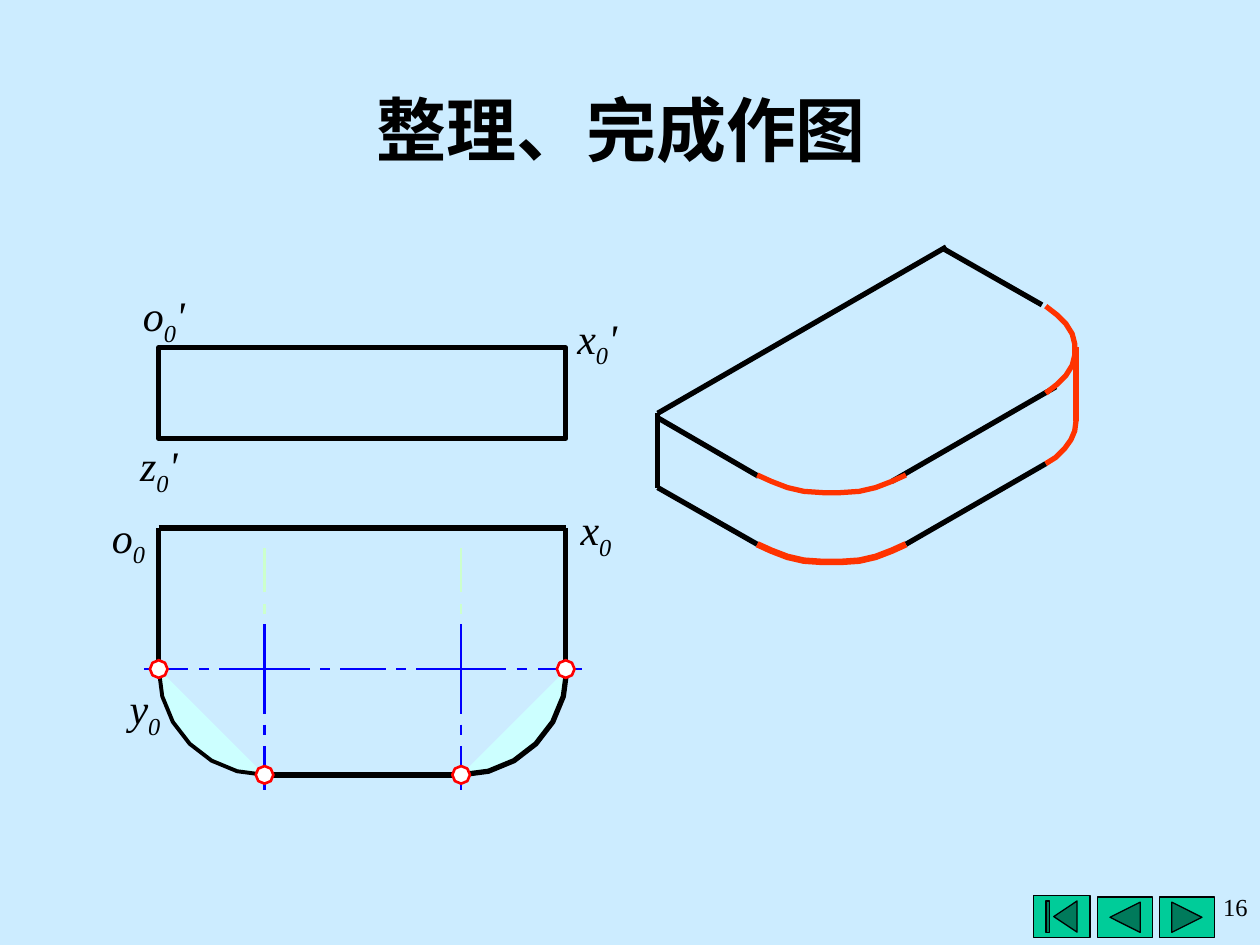
from dataclasses import dataclass
from math import cos, radians, sin

from lxml.etree import SubElement
from pptx import Presentation
from pptx.dml.color import RGBColor
from pptx.enum.shapes import MSO_CONNECTOR, MSO_SHAPE as Preset
from pptx.enum.text import MSO_ANCHOR, MSO_AUTO_SIZE, PP_ALIGN
from pptx.oxml.ns import qn
from pptx.util import Inches, Pt

COLORS = {
    "background": "CCECFF", "ink": "000000", "arc": "FF3300", "axis": "0000FF",
    "faint": "CCFFCC", "corner": "CCFFFF", "node": "FFFFFF", "ring": "FF0000",
    "button": "00CC99",
}
FONT = "Times New Roman"
Point = tuple[float, float]


@dataclass
class Edge:
    start: Point
    end: Point
    color: str = "ink"
    width: float = 3


@dataclass
class Curve:
    points: list[Point]
    color: str = "arc"
    width: float = 3
    fill: str | None = None
    closed: bool = False


@dataclass
class Label:
    letter: str
    left: float
    top: float
    width: float = 0.92
    prime: str = ""


@dataclass
class Button:
    preset: Preset
    left: float
    top: float
    width: float
    height: float


def color(name: str) -> RGBColor:
    return RGBColor.from_string(COLORS[name])


def paint(shape, fill: str | None, line: str, width: float) -> None:
    shape.shadow.inherit = False
    if fill:
        shape.fill.solid()
        shape.fill.fore_color.rgb = color(fill)
    else:
        shape.fill.background()
    shape.line.color.rgb = color(line)
    shape.line.width = Pt(width)


def draw_edge(page, edge: Edge) -> None:
    ends = [Inches(value) for value in (*edge.start, *edge.end)]
    line = page.shapes.add_connector(MSO_CONNECTOR.STRAIGHT, *ends)
    line.line.color.rgb = color(edge.color)
    line.line.width = Pt(edge.width)
    SubElement(line._element.spPr, qn("a:effectLst"))


def draw_curve(page, curve: Curve) -> None:
    points = [(Inches(x), Inches(y)) for x, y in curve.points]
    builder = page.shapes.build_freeform(*points[0])
    builder.add_line_segments(points[1:], close=curve.closed)
    paint(builder.convert_to_shape(), curve.fill, curve.color, curve.width)


def draw_button(page, button: Button) -> None:
    bounds = (button.left, button.top, button.width, button.height)
    shape = page.shapes.add_shape(button.preset, *map(Inches, bounds))
    paint(shape, "button", "ink", 0.75)


def add_text(page, left: float, top: float, width: float, height: float,
             size: float, align: PP_ALIGN):
    box = page.shapes.add_textbox(*map(Inches, (left, top, width, height)))
    box.text_frame.word_wrap = True
    para = box.text_frame.paragraphs[0]
    para.alignment = align
    para.font.name = FONT
    para.font.size = Pt(size)
    para.font.color.rgb = color("ink")
    return para


def draw_label(page, label: Label) -> None:
    para = add_text(page, label.left, label.top, label.width, 0.56, 24, PP_ALIGN.CENTER)
    para.font.italic = True
    para.add_run().text = label.letter
    subscript = para.add_run()
    subscript.text = "0"
    subscript._r.get_or_add_rPr().set("baseline", "-25000")
    if label.prime:
        para.add_run().text = label.prime


def arc(center: Point, radius: float, first: int, last: int, step: int) -> list[Point]:
    x, y = center
    return [(x + radius * cos(radians(angle)), y + radius * sin(radians(angle)))
            for angle in range(first, last + 1, step)]


LEFT, RIGHT, BACK, FRONT = 1.26, 4.49, 4.19, 6.15
AXIS_Y, RADIUS = 5.31, 0.84
CENTERS = [(2.1, AXIS_Y), (3.66, AXIS_Y)]
DASHES = [(0, 0.36), (0.44, 0.52), (0.61, 0.96)]
DIRECTIONS = [(-1, 0), (1, 0), (0, 1), (0, -1)]

FRONT_ARC = [(6.01, 3.77), (6.12, 3.82), (6.25, 3.87), (6.38, 3.9), (6.53, 3.91),
             (6.67, 3.91), (6.82, 3.9), (6.95, 3.87), (7.08, 3.82), (7.19, 3.77)]
SIDE_ARC = [(8.3, 3.12), (8.39, 3.05), (8.46, 2.98), (8.51, 2.9), (8.53, 2.82),
            (8.53, 2.73), (8.51, 2.65), (8.46, 2.57), (8.39, 2.5), (8.3, 2.43)]
LOWER_SIDE_ARC = [(8.3, 3.68), (8.38, 3.63), (8.45, 3.56), (8.5, 3.49),
                  (8.53, 3.42), (8.54, 3.34)]
THICKNESS = 0.55

SOLID_EDGES = [
    Edge((5.22, 3.28), (5.22, 3.87)),
    Edge((7.51, 1.96), (5.22, 3.28)),
    Edge((7.48, 1.97), (8.27, 2.42)),
    Edge((5.22, 3.87), (6.01, 4.32)),
    Edge((8.3, 3.68), (7.19, 4.32)),
    Edge((8.54, 3.34), (8.54, 2.75), "arc"),
    Edge((5.21, 3.31), (6.02, 3.78)),
    Edge((7.08, 3.82), (8.38, 3.07)),
]
SOLID_ARCS = [
    Curve([(x, y + THICKNESS) for x, y in FRONT_ARC], width=3.75),
    Curve(LOWER_SIDE_ARC),
    Curve(FRONT_ARC),
    Curve(SIDE_ARC),
]
PLAN_EDGES = [
    Edge((LEFT, BACK), (LEFT, AXIS_Y)),
    Edge((LEFT, BACK), (RIGHT, BACK)),
    Edge((RIGHT, BACK), (RIGHT, AXIS_Y)),
    Edge((CENTERS[0][0], FRONT), (CENTERS[1][0], FRONT)),
]
CORNERS = [
    Curve(arc(CENTERS[0], RADIUS, 90, 180, 15), "ink", 2.25, "corner"),
    Curve(arc(CENTERS[1], RADIUS, 0, 90, 15), "ink", 3, "corner"),
]
NODES = [(LEFT, AXIS_Y), (CENTERS[0][0], FRONT), (CENTERS[1][0], FRONT), (RIGHT, AXIS_Y)]
LABELS = [
    Label("x", 4.27, 3.95), Label("x", 4.28, 2.43, prime="'"),
    Label("o", 0.61, 4.01, 0.82), Label("y", 0.69, 5.37),
    Label("z", 0.8, 3.44, prime="'"), Label("o", 0.84, 2.25, prime="'"),
]
BUTTONS = [
    Button(Preset.ACTION_BUTTON_FORWARD_OR_NEXT, 9.2, 7.12, 0.44, 0.32),
    Button(Preset.ACTION_BUTTON_BACK_OR_PREVIOUS, 8.71, 7.12, 0.44, 0.32),
    Button(Preset.ACTION_BUTTON_BEGINNING, 8.2, 7.11, 0.45, 0.33),
]


def draw_title(page) -> None:
    title = page.shapes.title
    title.left, title.top, title.width, title.height = map(Inches, (1.06, 0.72, 7.74, 0.6))
    frame = title.text_frame
    frame.text = "整理、完成作图"
    frame.auto_size = MSO_AUTO_SIZE.NONE
    frame.vertical_anchor = MSO_ANCHOR.MIDDLE
    para = frame.paragraphs[0]
    para.alignment = PP_ALIGN.CENTER
    para.font.name = FONT
    para.font.size = Pt(40)
    para.font.bold = True
    para.font.color.rgb = color("ink")


def draw_center_lines(page) -> None:
    for x, y in CENTERS:
        for dx, dy in DIRECTIONS:
            for near, far in DASHES:
                tint = "faint" if dy < 0 and near > 0 else "axis"
                draw_edge(page, Edge((x + dx * near, y + dy * near),
                                     (x + dx * far, y + dy * far), tint, 1.5))


def main() -> None:
    deck = Presentation()
    deck.slide_width, deck.slide_height = Inches(10), Inches(7.5)
    page = deck.slides.add_slide(deck.slide_layouts[5])
    page.background.fill.solid()
    page.background.fill.fore_color.rgb = color("background")
    draw_title(page)
    for button in BUTTONS:
        draw_button(page, button)
    for edge in SOLID_EDGES:
        draw_edge(page, edge)
    for curve in SOLID_ARCS:
        draw_curve(page, curve)
    draw_center_lines(page)
    elevation = page.shapes.add_shape(
        Preset.RECTANGLE, *map(Inches, (LEFT, 2.76, RIGHT - LEFT, 0.72)))
    paint(elevation, None, "ink", 3)
    for edge in PLAN_EDGES:
        draw_edge(page, edge)
    for corner in CORNERS:
        draw_curve(page, corner)
    for node in NODES:
        draw_curve(page, Curve(arc(node, 0.07, 0, 315, 45), "ring", 1.5, "node", True))
    for label in LABELS:
        draw_label(page, label)
    add_text(page, 7.48, 7.03, 2.52, 0.61, 14, PP_ALIGN.RIGHT).add_run().text = "16"
    deck.save("out.pptx")


if __name__ == "__main__":
    main()
